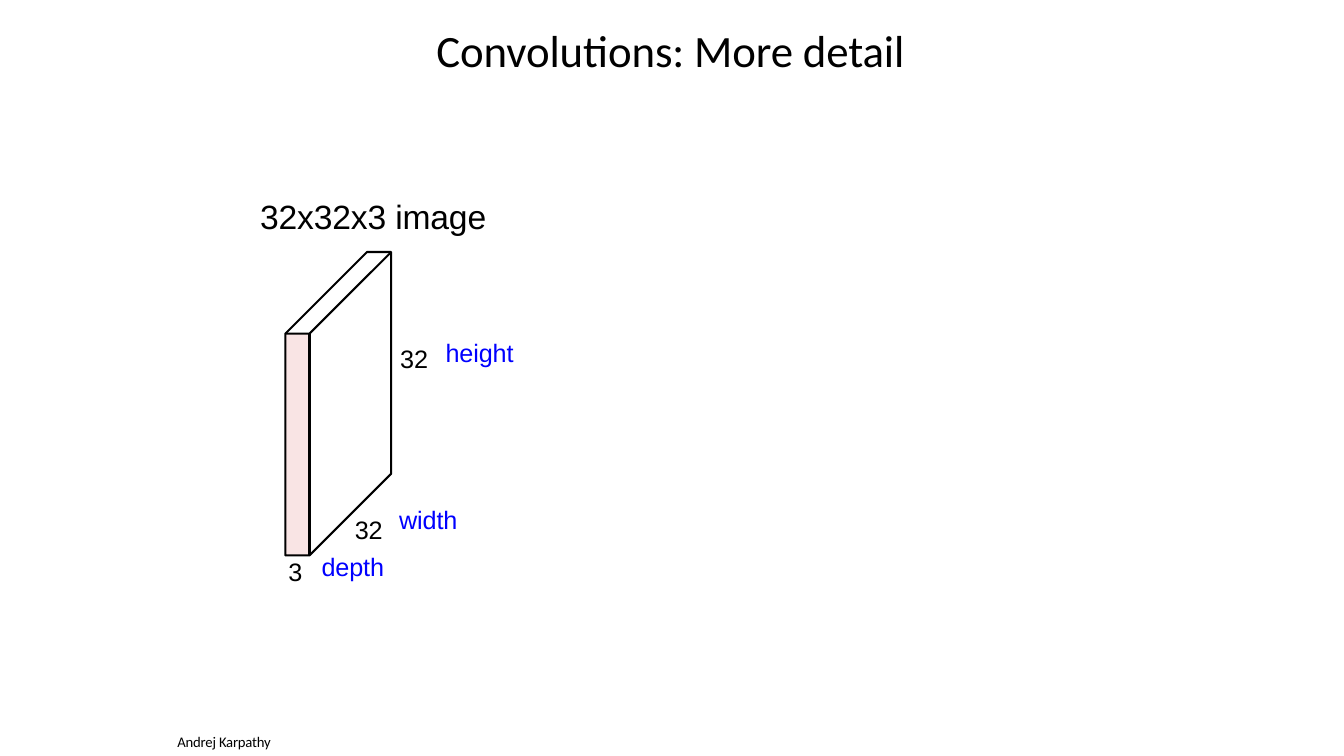
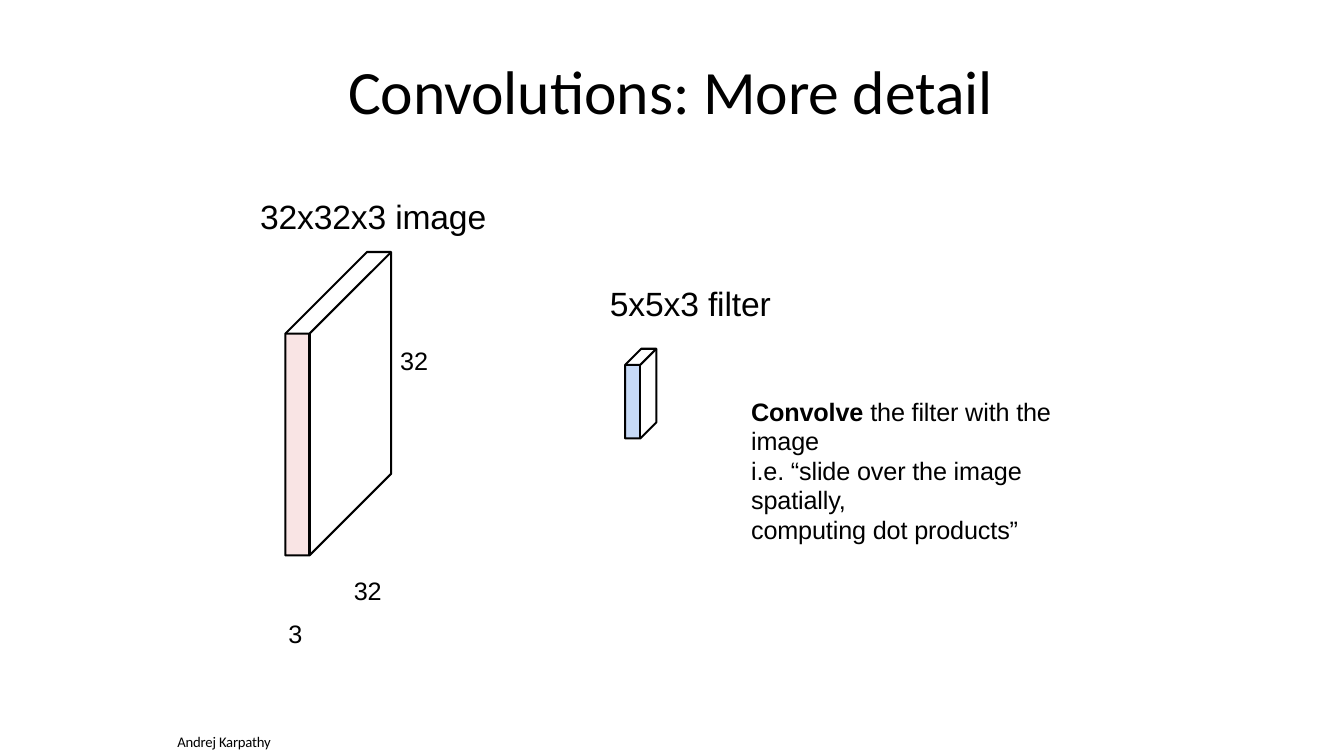
from lxml import etree
from pptx import Presentation
from pptx.dml.color import RGBColor
from pptx.enum.text import MSO_ANCHOR, PP_ALIGN
from pptx.oxml.ns import qn
from pptx.util import Inches, Pt

LEFT, CENTER = PP_ALIGN.LEFT, PP_ALIGN.CENTER
TOP = MSO_ANCHOR.TOP
BLACK, BLUE = "000000", "0000FF"
IMAGE_PINK, FILTER_BLUE = "F4CCCC", "C7DAF7"
SLIDE_WIDTH, SLIDE_HEIGHT = 13.33, 7.5
LABEL_SIZE, HEADING_SIZE = 18, 24


def color(value):
    return RGBColor.from_string(value)


class Deck:
    """Holds the shared style and the current slide."""

    def __init__(self):
        self.presentation = Presentation()
        self.presentation.slide_width = Inches(SLIDE_WIDTH)
        self.presentation.slide_height = Inches(SLIDE_HEIGHT)
        self.slide = None

    def add_slide(self, title, title_top, title_size):
        layout = self.presentation.slide_layouts[6]
        self.slide = self.presentation.slides.add_slide(layout)
        self.text(title, 0, title_top, 13.3, title_size, font="Calibri", align=CENTER)
        footer = self.text("Andrej Karpathy", 1.76, 7.27, 1.2, 10.5, font="Calibri")
        footer.paragraphs[0].line_spacing = Pt(11)

    def text(self, content, left, top, width, size=LABEL_SIZE, ink=BLACK,
             font="Arial", align=LEFT):
        height = size * 1.25 / 72
        box = self.slide.shapes.add_textbox(
            Inches(left), Inches(top), Inches(width), Inches(height))
        frame = box.text_frame
        frame.word_wrap = True
        frame.vertical_anchor = TOP
        frame.margin_left = frame.margin_right = frame.margin_bottom = 0
        frame.margin_top = Inches(0.02)
        frame.text = content
        for paragraph in frame.paragraphs:
            paragraph.alignment = align
            for run in paragraph.runs:
                self.style_run(run, size, ink, font)
        return frame

    def style_run(self, run, size=LABEL_SIZE, ink=BLACK, font="Arial", bold=False):
        run.font.size = Pt(size)
        run.font.name = font
        run.font.bold = bold
        run.font.color.rgb = color(ink)
        run.font.language_id = None
        run._r.get_or_add_rPr().set("spc", "-10")

    def explanation(self, keyword, lines, left, top, width):
        frame = self.text("\n".join([keyword] + lines[1:]), left, top, width)
        opening = frame.paragraphs[0]
        opening.runs[0].font.bold = True
        rest = opening.add_run()
        rest.text = lines[0]
        self.style_run(rest)
        for paragraph in frame.paragraphs:
            paragraph.line_spacing = Pt(21)

    def outline(self, contours, closed):
        builder = None
        for contour in contours:
            start, *others = [(Inches(x), Inches(y)) for x, y in contour]
            if builder is None:
                builder = self.slide.shapes.build_freeform(*start)
            else:
                builder.move_to(*start)
            builder.add_line_segments(others, close=closed)
        shape = builder.convert_to_shape()
        shape.shadow.inherit = False
        return shape

    def volume(self, left, top, depth, height, shift, rise, fill, opacity=100):
        right, bottom = left + depth, top + height
        front = [(left, top), (right, top), (right, bottom), (left, bottom)]
        face = self.outline([front], True)
        face.fill.solid()
        face.fill.fore_color.rgb = color(fill)
        face.line.fill.background()
        if opacity < 100:
            tint = face.element.spPr.find(".//" + qn("a:srgbClr"))
            etree.SubElement(tint, qn("a:alpha")).set("val", str(opacity * 1000))

        far_corner = (right + shift, top - rise)
        silhouette = [(left, top), (left + shift, top - rise), far_corner,
                      (right + shift, bottom - rise), (right, bottom),
                      (left, bottom), (left, top)]
        top_edge = [(left, top), (right, top), far_corner]
        front_edge = [(right, top), (right, bottom)]
        edges = self.outline([silhouette, top_edge, front_edge], False)
        edges.fill.background()
        edges.line.color.rgb = color(BLACK)
        edges.line.width = Pt(1.44)

    def image_volume(self, dimensions):
        self.text("32x32x3 image", 2.58, 1.92, 2.6, HEADING_SIZE)
        self.volume(2.83, 3.31, 0.24, 2.2, 0.81, 0.81, IMAGE_PINK, 52)
        for size, left, top in dimensions:
            self.text(size, left, top, 0.4)


def main():
    deck = Deck()
    title = "Convolutions: More detail"

    deck.add_slide(title, 0.21, 32)
    deck.image_volume([("32", 3.97, 3.39), ("32", 3.52, 5.08), ("3", 2.86, 5.5)])
    for name, left, top in [("height", 4.42, 3.33), ("width", 3.96, 4.98),
                            ("depth", 3.19, 5.45)]:
        deck.text(name, left, top, 0.9, ink=BLUE)

    deck.add_slide(title, 0.51, 44)
    deck.image_volume([("32", 3.97, 3.41), ("32", 3.51, 5.69), ("3", 2.86, 6.11)])
    deck.text("5x5x3 filter", 6.05, 2.79, 2, HEADING_SIZE)
    deck.volume(6.2, 3.62, 0.15, 0.73, 0.16, 0.16, FILTER_BLUE)
    deck.explanation("Convolve", [" the filter with the image",
                                  "i.e. “slide over the image spatially,",
                                  "computing dot products”"], 7.45, 3.92, 3.3)

    deck.presentation.save("out.pptx")


if __name__ == "__main__":
    main()
